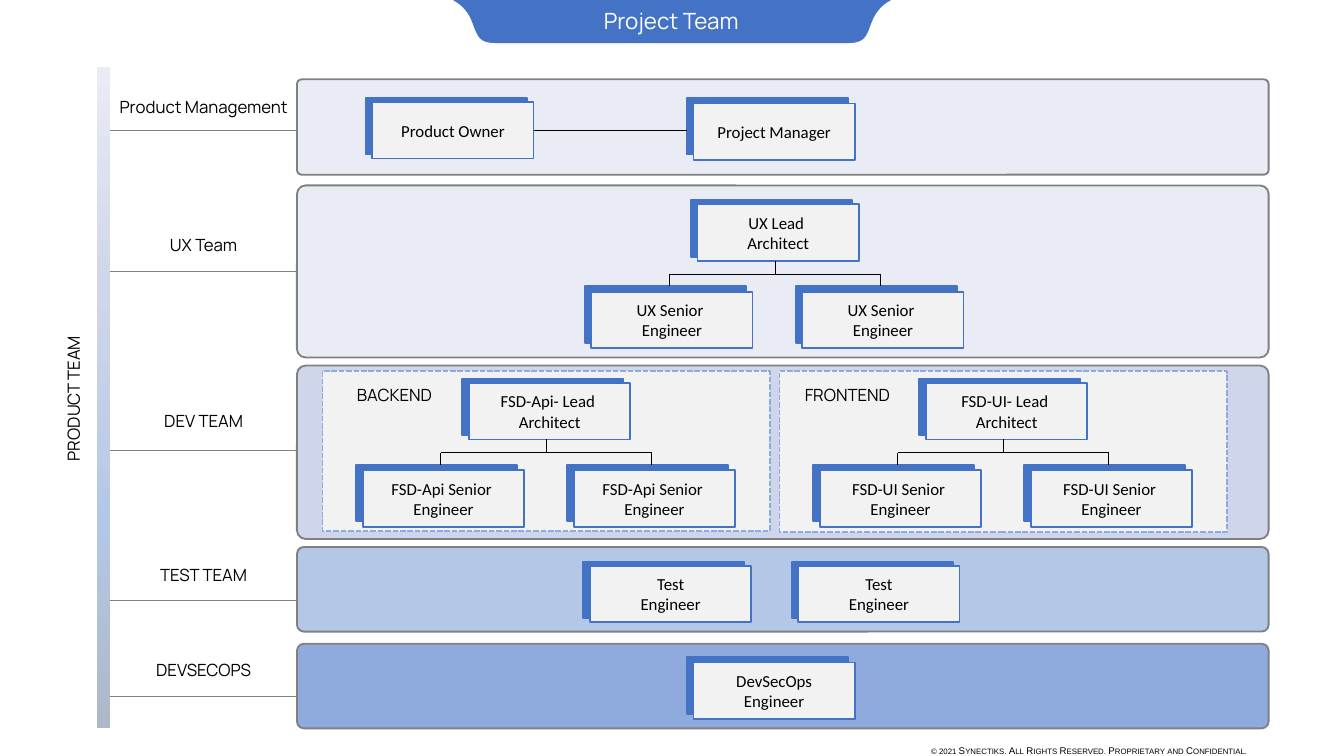
import pptx
import pptx.dml.color
import pptx.enum.dml
import pptx.enum.shapes
import pptx.enum.text
import pptx.oxml
import pptx.oxml.ns
import pptx.util

PX = 9144  # EMU in one px, 100 px to the inch
SHAPE = pptx.enum.shapes.MSO_SHAPE
ANCHOR = pptx.enum.text.MSO_ANCHOR
ALIGN = pptx.enum.text.PP_ALIGN

COLORS = {
    "blue": "4472C4", "card": "F2F2F2", "black": "000000", "white": "FFFFFF",
    "gray": "808080", "pale": "E9EBF5", "lavender": "CFD5EA",
    "sky": "B4C7E7", "steel": "8FAADC", "slate": "ADB9CA",
}
LABEL = {"name": "Manrope", "size": pptx.util.Pt(9)}
CARD = {"name": "Calibri", "size": pptx.util.Pt(9)}
TITLE = {"name": "Manrope", "size": pptx.util.Pt(12), "bold": False}
NOTICE = {"name": "Arial", "size": pptx.util.Pt(5.25)}

CARD_WIDTH, CARD_HEIGHT = 120, 42
BAND_LEFT, BAND_WIDTH = 221, 723
RAIL_LEFT, RAIL_WIDTH = 72, 10

# name, top, height, corner, fill, label offset, divider offset
BANDS = [
    ("Product Management", 59, 71, 0.05, "pale", 8, 38),
    ("UX Team", 138, 128, 0.05, "pale", 32, 64),
    ("DEV TEAM", 272, 129, 0.05, "lavender", 29, 63),
    ("TEST TEAM", 407, 63, 0.082, "sky", 8, 40),
    ("DEVSECOPS", 479, 63, 0.082, "steel", 7, 39),
]


def px(*lengths):
    return [pptx.util.Emu(length * PX) for length in lengths]


def rgb(color):
    return pptx.dml.color.RGBColor.from_string(COLORS[color])


def set_formats(target, formats):
    for name, value in formats.items():
        setattr(target, name, value)


def write(shape, lines, font, color="black", align=ALIGN.CENTER, **frame_formats):
    """Fill the shape with one paragraph for each line."""
    frame = shape.text_frame
    set_formats(frame, {"word_wrap": True, "vertical_anchor": ANCHOR.TOP,
                        "auto_size": pptx.enum.text.MSO_AUTO_SIZE.NONE, **frame_formats})
    frame.text = "\n".join(lines)
    for paragraph in frame.paragraphs:
        paragraph.alignment = align
        set_formats(paragraph.runs[0].font, font)
        paragraph.runs[0].font.color.rgb = rgb(color)


def add_text(shapes, box, text, font, **formats):
    textbox = shapes.add_textbox(*px(*box))
    write(textbox, [text], font, **formats)
    return textbox


def add_panel(shapes, kind, box, fill, line=None):
    panel = shapes.add_shape(kind, *px(*box))
    panel.shadow.inherit = False
    panel.fill.solid()
    panel.fill.fore_color.rgb = rgb(fill)
    if line:
        panel.line.color.rgb = rgb(line)
        panel.line.width = pptx.util.Pt(1)
    else:
        panel.line.fill.background()
    return panel


def add_line(shapes, start, end, color="black"):
    line = shapes.add_connector(pptx.enum.shapes.MSO_CONNECTOR.STRAIGHT, *px(*start, *end))
    line.line.color.rgb = rgb(color)
    line.line.width = pptx.util.Pt(0.5)
    properties = line.element.find(pptx.oxml.ns.qn("p:spPr"))
    properties.append(pptx.oxml.parse_xml(
        f'<a:effectLst {pptx.oxml.ns.nsdecls("a")}/>'))


def add_card(shapes, left, top, *lines, drop=4):
    """Role card with a blue plate showing behind its upper left corner."""
    size = (CARD_WIDTH, CARD_HEIGHT)
    group = shapes.add_group_shape()
    add_panel(group.shapes, SHAPE.RECTANGLE, (left, top, *size), "blue", "blue")
    front = add_panel(group.shapes, SHAPE.RECTANGLE, (left + 5, top + drop, *size),
                      "card", "blue")
    write(front, lines, CARD, vertical_anchor=ANCHOR.MIDDLE)


def add_tree(shapes, left, top, lead, report):
    """Lead architect above two senior engineers."""
    group = shapes.add_group_shape().shapes
    step, fall, bus = 157, 64, top + 55
    lead_x, first_x = left + 142, left + 63
    add_card(group, left + 79, top, lead, "Architect", drop=3)
    add_line(group, (lead_x, top + 45), (lead_x, bus))
    add_line(group, (first_x, bus), (first_x + step, bus))
    for offset in (0, step):
        add_card(group, left + offset, top + fall, report, "Engineer")
        add_line(group, (first_x + offset, bus), (first_x + offset, top + fall))


def add_subteam(shapes, box, label_box, label, prefix):
    left, top = box[:2]
    panel = add_panel(shapes, SHAPE.RECTANGLE, box, "card", "steel")
    panel.line.dash_style = pptx.enum.dml.MSO_LINE.SQUARE_DOT
    label_left, label_width = label_box
    add_text(shapes, (left + label_left, top + 5, label_width, 25), label, LABEL)
    add_tree(shapes, left + 25, top + 6, f"{prefix}- Lead ", f"{prefix} Senior ")


def curve(start, first, second, end, steps=16):
    """Points along a cubic curve, in tenths of a px."""
    for step in range(steps + 1):
        t = step / steps
        weights = ((1 - t) ** 3, 3 * t * (1 - t) ** 2, 3 * t * t * (1 - t), t ** 3)
        yield tuple(10 * sum(weight * point[axis] for weight, point
                             in zip(weights, (start, first, second, end)))
                    for axis in (0, 1))


def add_title(slide, left, width, height):
    right = left + width
    points = [*curve((right, 0), (right - 22, 12), (right - 10, height), (right - 31, height)),
              *curve((left + 31, height), (left + 10, height), (left + 22, 12), (left, 0))]
    builder = slide.shapes.build_freeform(*points[0], scale=PX / 10)
    builder.add_line_segments(points[1:], close=True)
    banner = builder.convert_to_shape()
    banner.shadow.inherit = False
    banner.fill.solid()
    banner.fill.fore_color.rgb = rgb("blue")
    banner.line.fill.background()

    title = slide.shapes.title
    title.element.addprevious(banner.element)
    place = px(left + 3, 0, width - 7, 30)
    set_formats(title, dict(zip(("left", "top", "width", "height"), place)))
    write(title, ["Project Team"], TITLE, "white")


def add_rail(shapes, left, top, width, height):
    rail = add_panel(shapes, SHAPE.RECTANGLE, (left, top, width, height), "pale")
    rail.fill.gradient()
    rail.fill.gradient_angle = 270
    stops = rail.element.find(".//" + pptx.oxml.ns.qn("a:gsLst"))
    for stop in list(stops):
        stops.remove(stop)
    for position, color in ((0, "pale"), (34, "lavender"), (69, "sky"), (99, "slate")):
        stops.append(pptx.oxml.parse_xml(
            f'<a:gs {pptx.oxml.ns.nsdecls("a")} pos="{position * 1000}">'
            f'<a:srgbClr val="{COLORS[color]}"/></a:gs>'))
    label = add_text(shapes, (left - 77, top + 234, 119, 25), "PRODUCT TEAM", LABEL,
                     word_wrap=False)
    label.rotation = 270


def add_band(shapes, name, top, height, corner, fill, label_offset, divider_offset):
    band = add_panel(shapes, SHAPE.ROUNDED_RECTANGLE,
                     (BAND_LEFT, top, BAND_WIDTH, height), fill, "gray")
    band.adjustments[0] = corner
    divider = top + divider_offset
    add_line(shapes, (RAIL_LEFT + RAIL_WIDTH, divider), (BAND_LEFT, divider), "gray")
    add_text(shapes, (76, top + label_offset, 151, 25), name, LABEL, word_wrap=False)


def add_notice(shapes, box):
    notice = add_text(
        shapes, box, "© 2021 Synectiks. All Rights Reserved. Proprietary and Confidential.",
        NOTICE, align=ALIGN.LEFT)
    run = notice.text_frame.paragraphs[0].runs[0]
    run.font._element.set("cap", "small")


def main():
    presentation = pptx.Presentation()
    presentation.slide_width = pptx.util.Emu(1000 * PX)
    presentation.slide_height = pptx.util.Emu(presentation.slide_width * 9 // 16)
    slide = presentation.slides.add_slide(presentation.slide_layouts[5])
    shapes = slide.shapes

    add_title(slide, 337, 326, 32)
    add_rail(shapes, RAIL_LEFT, 50, RAIL_WIDTH, 492)
    for band in BANDS:
        add_band(shapes, *band)

    add_card(shapes, 272, 73, "Product Owner", drop=3)
    add_card(shapes, 511, 73, "Project Manager")
    add_line(shapes, (397, 97), (511, 97))
    add_tree(shapes, 435, 149, "UX Lead ", "UX Senior ")
    add_subteam(shapes, (240, 276, 333, 119), (5, 97), "BACKEND", "FSD-Api")
    add_subteam(shapes, (580, 276, 333, 120), (-3, 107), "FRONTEND", "FSD-UI")
    for left in (434, 589):
        add_card(shapes, left, 418, "Test", "Engineer", drop=3)
    add_card(shapes, 511, 489, "DevSecOps Engineer")
    add_notice(shapes, (683, 549, 289, 19))
    presentation.save("out.pptx")


if __name__ == "__main__":
    main()
